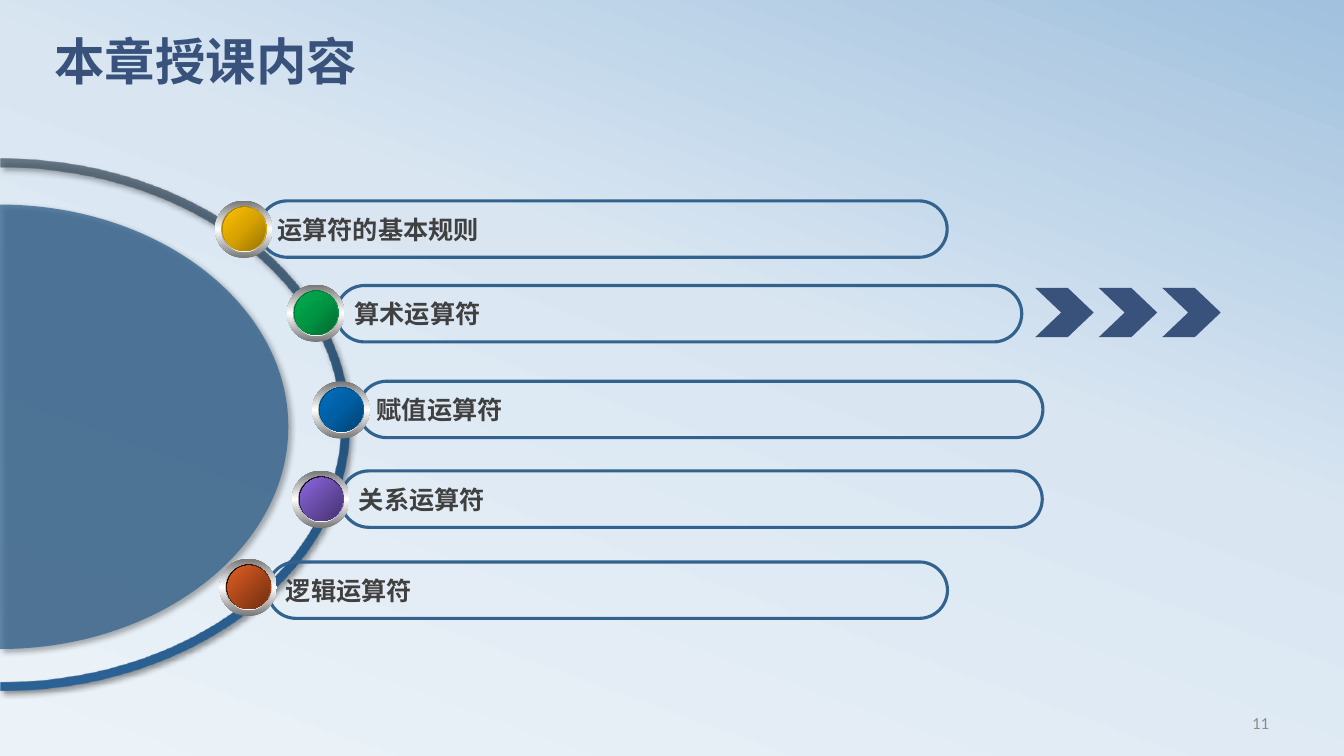
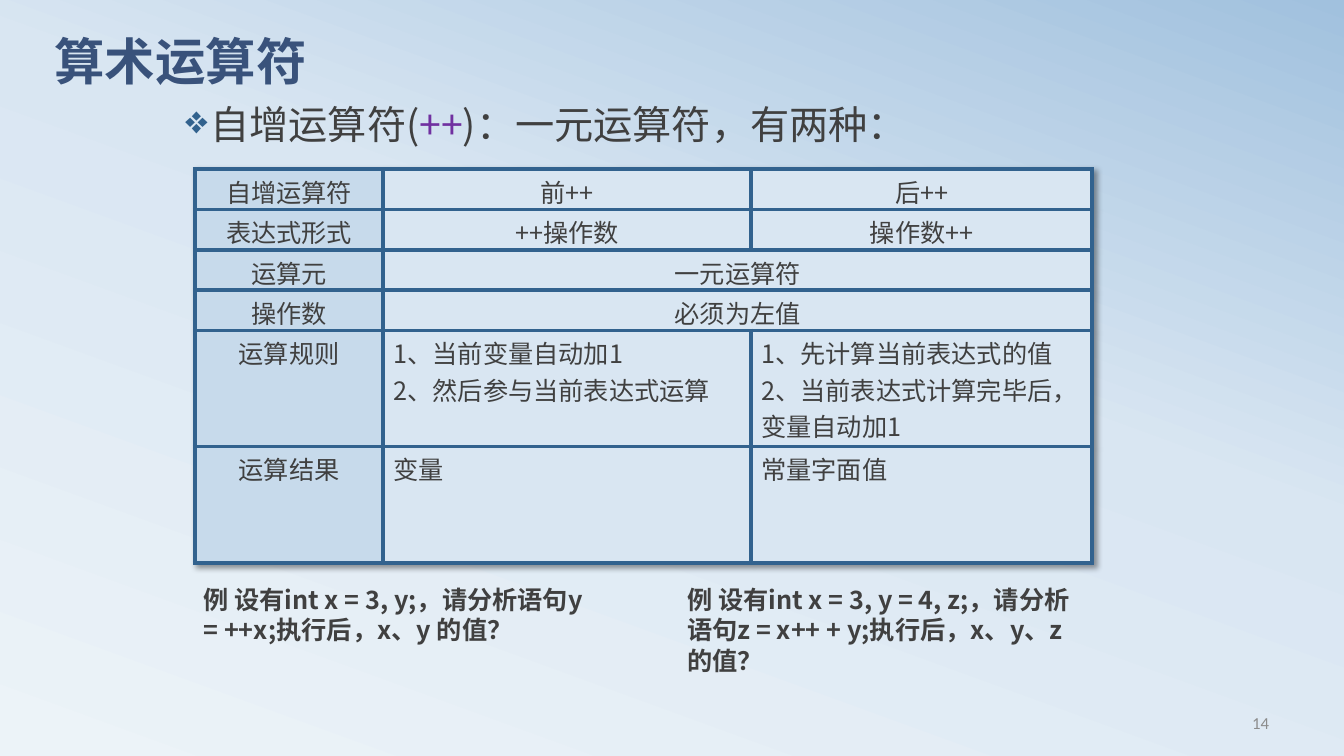
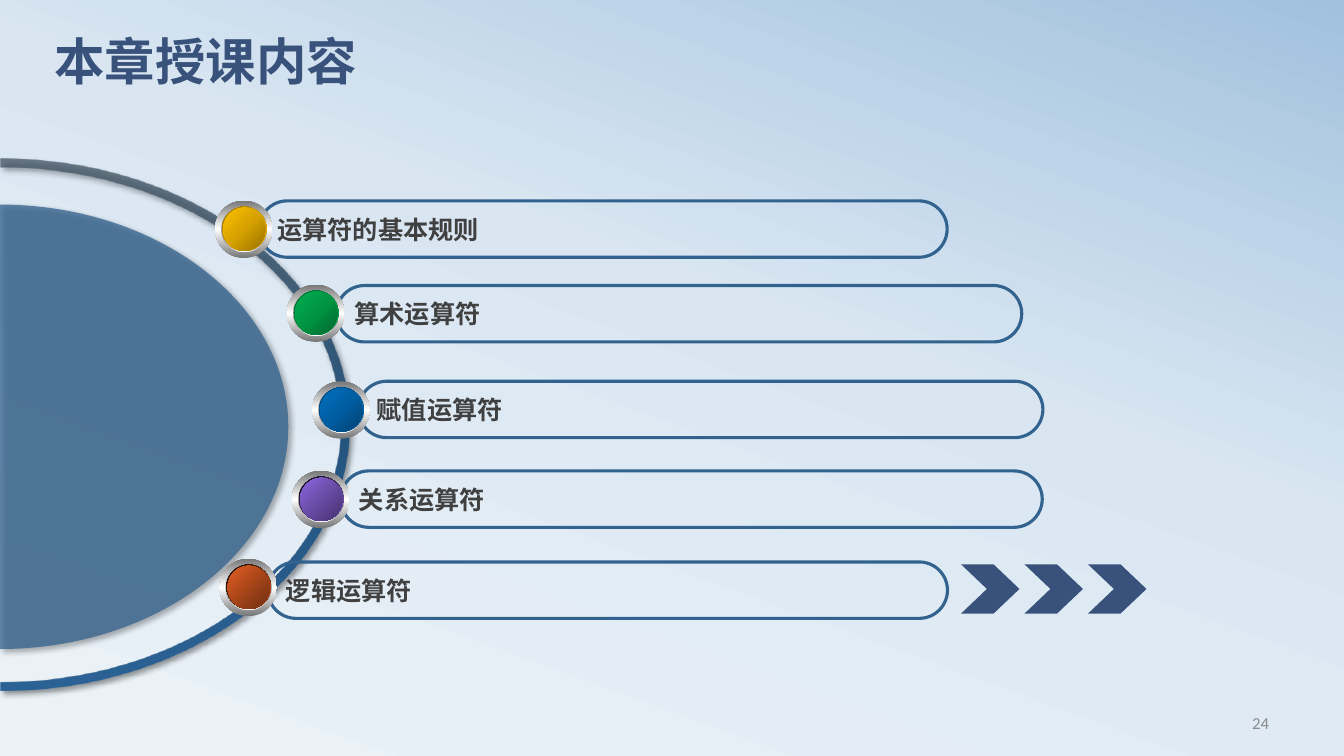
from dataclasses import dataclass

from lxml.etree import SubElement
from pptx import Presentation
from pptx.dml.color import RGBColor
from pptx.enum.shapes import MSO_SHAPE
from pptx.enum.text import MSO_ANCHOR, MSO_AUTO_SIZE, PP_ALIGN
from pptx.oxml.ns import qn
from pptx.util import Emu, Inches, Pt


@dataclass(frozen=True)
class Theme:
    latin: str = "Calibri"
    chinese: str = "Noto Sans CJK SC"
    navy: str = "39527B"
    blue: str = "32628E"
    text: str = "404040"
    grey: str = "8C8C8C"
    accent: str = "7030A0"
    header_fill: str = "C7DAEB"
    cell_fill: str = "D9E6F2"
    title_size: int = 36
    lead_size: int = 28
    body_size: int = 18
    number_size: int = 12
    # Gradient stops: position, colour and, if not solid, opacity
    background: tuple = ((0, "ECF3F8"), (58, "D9E6F2"), (100, "A1C1DE"))
    ring: tuple = ((0, "445462", 75), (50, "24537D"), (100, "2B6295"))
    bezel: tuple = ((0, "767676"), (50, "FFFFFF"), (100, "767676"))
    inner_bezel: tuple = ((0, "A2A2A2"), (50, "FFFFFF"), (100, "A2A2A2"))


THEME = Theme()
COLUMNS = 40  # square modules across the slide; 22.5 of them down
CURVE = 0.55  # control point distance of a quarter ellipse, as a share of its radius

# Chapter topics: name, bar (left, top, width), ball (left, top), ball colours
TOPICS = [
    ("运算符的基本规则", (7.71, 5.98, 20.48), (6.4, 5.97), ("977200", "D7A200", "FFC000")),
    ("算术运算符", (10.01, 8.5, 20.4), (8.54, 8.47), ("00682F", "009443", "00B050")),
    ("赋值运算符", (10.67, 11.35, 20.37), (9.29, 11.35), ("004272", "005EA2", "0070C0")),
    ("关系运算符", (10.14, 14.02, 20.88), (8.69, 14.01), ("8D67E1", "45326D")),
    ("逻辑运算符", (7.97, 16.73, 20.23), (6.53, 16.63), ("E35E23", "6E2E11")),
]

# A single text in the second column spans the rest of the row
INCREMENT_ROWS = [
    ("自增运算符", "前++", "后++"),
    ("表达式形式", "++操作数", "操作数++"),
    ("运算元", "一元运算符"),
    ("操作数", "必须为左值"),
    ("运算规则", "1、当前变量自动加1\n2、然后参与当前表达式运算",
     "1、先计算当前表达式的值\n2、当前表达式计算完毕后，变量自动加1"),
    ("运算结果", "变量", "常量字面值"),
]
CENTRED_ROWS = 4


def add_element(parent, tag, **attributes):
    return SubElement(parent, qn(tag), {key: str(value) for key, value in attributes.items()})


def add_colour(parent, colour, opacity=100):
    element = add_element(parent, "a:srgbClr", val=colour)
    if opacity < 100:
        add_element(element, "a:alpha", val=opacity * 1000)


def set_gradient(fill, owner, stops, angle=None):
    """Linear at an angle, or spreading from the lower right corner."""
    fill.gradient()
    gradient = owner.xpath(".//a:gradFill")[0]
    gradient.clear()
    gradient.set("rotWithShape", "1")
    stop_list = add_element(gradient, "a:gsLst")
    for position, *colour in stops:
        add_colour(add_element(stop_list, "a:gs", pos=position * 1000), *colour)
    if angle is None:
        corner = add_element(gradient, "a:path", path="circle")
        add_element(corner, "a:fillToRect", l=100000, t=100000)
    else:
        add_element(gradient, "a:lin", ang=angle * 60000, scaled=0)


def add_shadow(effects):
    shadow = add_element(effects, "a:outerShdw", blurRad=Pt(4), dist=Pt(3),
                         dir=45 * 60000, algn="tl", rotWithShape=0)
    add_colour(shadow, "000000", 40)


def spread(colours):
    return [(round(100 * index / (len(colours) - 1)), colour)
            for index, colour in enumerate(colours)]


def write(paragraph, text, size=THEME.body_size, colour=THEME.text, bold=False,
          font=THEME.chinese, align=PP_ALIGN.LEFT, spacing=None):
    """Add a run and format it together with its paragraph."""
    paragraph.alignment = align
    if spacing is not None:
        paragraph.line_spacing = spacing
    run = paragraph.add_run()
    run.text = text
    run.font.size, run.font.bold, run.font.name = Pt(size), bold, font
    run.font.color.rgb = RGBColor.from_string(colour)
    add_element(run._r.get_or_add_rPr(), "a:ea", typeface=THEME.chinese)


class Deck:
    def __init__(self, theme):
        self.theme = theme
        self.presentation = Presentation()
        self.presentation.slide_width = Inches(13.33)
        self.presentation.slide_height = Inches(7.5)
        self.module = self.presentation.slide_width / COLUMNS
        self.slide = None
        master = self.presentation.slide_master
        set_gradient(master.background.fill, master.element, theme.background, 290)

    def units(self, *modules):
        return [Emu(round(value * self.module)) for value in modules]

    # Title and page number
    def new_slide(self, title, number):
        layout = self.presentation.slide_layouts[5]
        self.slide = self.presentation.slides.add_slide(layout)
        shape = self.slide.shapes.title
        shape.left, shape.top, shape.width, shape.height = self.units(1.32, 1.08, 36, 2.82)
        frame = shape.text_frame
        frame.auto_size, frame.vertical_anchor = MSO_AUTO_SIZE.NONE, MSO_ANCHOR.TOP
        write(frame.paragraphs[0], title, size=self.theme.title_size, bold=True,
              colour=self.theme.navy, font=self.theme.latin, spacing=0.8)
        paragraph = self.text_box(28.74, 20.91, 9.33, 1.2, MSO_ANCHOR.MIDDLE)
        write(paragraph, str(number), size=self.theme.number_size,
              colour=self.theme.grey, font=self.theme.latin, align=PP_ALIGN.RIGHT)

    def text_box(self, left, top, width, height, anchor=MSO_ANCHOR.TOP):
        box = self.slide.shapes.add_textbox(*self.units(left, top, width, height))
        box.text_frame.word_wrap = True
        box.text_frame.vertical_anchor = anchor
        return box.text_frame.paragraphs[0]

    def shape(self, kind, left, top, width, height, adjustment=None, group=None):
        shapes = (group or self.slide).shapes
        shape = shapes.add_shape(kind, *self.units(left, top, width, height))
        shape.shadow.inherit = False
        shape.line.fill.background()
        if adjustment is not None:
            shape.adjustments[0] = adjustment
        return shape

    # Upper half of an ellipse, or a band of it, turned to face right
    def half_ellipse(self, left, top, width, height, depth, band=0):
        x, y, width, height, depth, band = self.units(left, top, width, height, depth, band)
        middle = width / 2

        def corners(inset):
            return [(inset, depth), (middle, inset), (width - inset, depth)]

        points = corners(0) + (corners(band)[::-1] if band else [])
        builder = self.slide.shapes.build_freeform(*points[0], scale=1.0)
        builder.add_line_segments(points[1:], close=True)
        shape = builder.convert_to_shape()
        shape.left, shape.top, shape.width, shape.height = x, y, width, height
        shape.rotation = 90
        outline = shape.element.xpath(".//a:path")[0]
        outline.set("w", str(width))
        outline.set("h", str(height))
        lines = outline.xpath("a:lnTo")
        for index, (start, end) in enumerate(zip(points, points[1:])):
            if index == 2:  # straight step from the outer to the inner arc
                continue
            line = lines[index]
            line.tag_name = None
            curve = add_element(outline, "a:cubicBezTo")
            outline.replace(line, curve)
            # Tangents are upright at the ends and level at the apex
            apex = start if start[0] == middle else end
            foot = end if apex == start else start
            controls = [(foot[0], foot[1] + CURVE * (apex[1] - foot[1])),
                        (apex[0] + CURVE * (foot[0] - apex[0]), apex[1])]
            if apex == start:
                controls.reverse()
            for across, down in controls + [end]:
                add_element(curve, "a:pt", x=round(across), y=round(down))
        shape.line.fill.background()
        shape.shadow.inherit = False
        add_shadow(shape.element.xpath("p:spPr/a:effectLst")[0])
        return shape

    def wheel(self):
        ring = self.half_ellipse(-8.07, 2.1, 15.84, 21.09, depth=10.39, band=0.27)
        set_gradient(ring.fill, ring.element, self.theme.ring, 0)
        disc = self.half_ellipse(-6.63, 4.11, 13.23, 17.19, depth=8.58)
        disc.fill.solid()
        disc.fill.fore_color.rgb = RGBColor.from_string(self.theme.blue)
        colour = disc.element.xpath("p:spPr/a:solidFill/a:srgbClr")[0]
        add_element(colour, "a:alpha", val=75000)

    def bar(self, text, left, top, width):
        bar = self.shape(MSO_SHAPE.ROUNDED_RECTANGLE, left, top, width, 1.68, 0.5)
        bar.fill.background()
        bar.line.color.rgb = RGBColor.from_string(self.theme.blue)
        bar.line.width = Pt(2.25)
        bar.text_frame.vertical_anchor = MSO_ANCHOR.MIDDLE
        write(bar.text_frame.paragraphs[0], text, bold=True)

    def ball(self, left, top, colours):
        glossy = len(colours) == 3
        rim = colours if glossy else ("000000", colours[0])
        layers = [
            (0, 0, 1.71, 1.71, self.theme.bezel, 90),
            (0.18, 0.18, 1.38, 1.35, self.theme.inner_bezel, 0),
            (0.21, 0.18, 1.32, 1.32, spread(rim), 45),
            (0.24, 0.21, 1.26, 1.29, spread(colours), None if glossy else 45),
        ]
        group = self.slide.shapes.add_group_shape()
        for right, down, width, height, stops, angle in layers:
            layer = self.shape(MSO_SHAPE.OVAL, left + right, top + down, width, height,
                               group=group)
            set_gradient(layer.fill, layer.element, stops, angle)

    def chevrons(self, left, top):
        group = self.slide.shapes.add_group_shape()
        for index in range(3):
            chevron = self.shape(MSO_SHAPE.CHEVRON, left + 1.89 * index, top, 1.74, 1.47,
                                 0.525, group)
            chevron.fill.solid()
            chevron.fill.fore_color.rgb = RGBColor.from_string(self.theme.navy)

    # Bulleted line of differently coloured parts
    def bullet(self, parts, *place):
        paragraph = self.text_box(*place)
        for text, colour in parts:
            write(paragraph, text, size=self.theme.lead_size, colour=colour, spacing=0.9)
        paragraph.space_before = Pt(18)
        properties = paragraph._p.get_or_add_pPr()
        properties.set("marL", str(Inches(0.25)))
        properties.set("indent", str(-Inches(0.25)))
        add_colour(add_element(properties, "a:buClr"), self.theme.blue)
        add_element(properties, "a:buSzPct", val=100000)
        add_element(properties, "a:buChar", char="❖")

    def table(self, rows, left, top, widths, heights, full_height):
        frame = self.slide.shapes.add_table(
            len(rows), len(widths), *self.units(left, top, sum(widths), full_height))
        table = frame.table
        table.first_row = table.horz_banding = False
        effects = add_element(table._tbl.tblPr, "a:effectLst")
        table._tbl.tblPr.insert(0, effects)
        add_shadow(effects)
        for column, width in zip(table.columns, self.units(*widths)):
            column.width = width
        for row, height in zip(table.rows, self.units(*heights)):
            row.height = height
        frame.height = self.units(full_height)[0]
        for row_index, texts in enumerate(rows):
            for column_index in range(len(widths)):
                self.style_cell(table.cell(row_index, column_index), column_index == 0)
            if len(texts) < len(widths):
                table.cell(row_index, 1).merge(table.cell(row_index, len(widths) - 1))
            for column_index, text in enumerate(texts):
                centred = column_index == 0 or row_index < CENTRED_ROWS
                text_frame = table.cell(row_index, column_index).text_frame
                for line_index, line in enumerate(text.split("\n")):
                    paragraph = text_frame.add_paragraph() if line_index else text_frame.paragraphs[0]
                    write(paragraph, line, align=PP_ALIGN.CENTER if centred else PP_ALIGN.LEFT)

    def style_cell(self, cell, is_header):
        cell.margin_top, cell.margin_bottom = Inches(0.04), 0
        properties = cell._tc.get_or_add_tcPr()
        for side in ("a:lnL", "a:lnR", "a:lnT", "a:lnB"):
            border = add_element(properties, side, w=Pt(3))
            add_colour(add_element(border, "a:solidFill"), self.theme.blue)
        cell.fill.solid()
        fill = self.theme.header_fill if is_header else self.theme.cell_fill
        cell.fill.fore_color.rgb = RGBColor.from_string(fill)


def agenda_slide(deck, number, current):
    deck.new_slide("本章授课内容", number)
    deck.wheel()
    for name, bar, _, _ in reversed(TOPICS):
        deck.bar(name, *bar)
    for _, _, ball, colours in reversed(TOPICS):
        deck.ball(*ball, colours)
    left, top, width = TOPICS[current][1]
    deck.chevrons(left + width + 0.4, top + 0.07)


def increment_slide(deck, number):
    deck.new_slide("算术运算符", number)
    parts = [("自增运算符(", THEME.text), ("++", THEME.accent),
             (")：一元运算符，有两种：", THEME.text)]
    deck.bullet(parts, 5.22, 2.99, 27, 1.89)
    deck.table(INCREMENT_ROWS, 5.8, 5.04, widths=(5.61, 10.95, 10.14),
               heights=(1.2, 1.2, 1.2, 1.2, 3.46, 3.47), full_height=11.73)
    examples = [
        ("例 设有int x = 3, y;，请分析语句y = ++x;执行后，x、y 的值？", 5.76, 12.06, 2.13),
        ("例 设有int x = 3, y = 4, z;，请分析语句z = x++ + y;执行后，x、y、z 的值？",
         20.16, 12.6, 3.03),
    ]
    for text, left, width, height in examples:
        write(deck.text_box(left, 17.25, width, height), text, bold=True, spacing=Pt(21.6))


def main():
    deck = Deck(THEME)
    agenda_slide(deck, 11, current=1)
    increment_slide(deck, 14)
    agenda_slide(deck, 24, current=4)
    deck.presentation.save("out.pptx")


if __name__ == "__main__":
    main()
